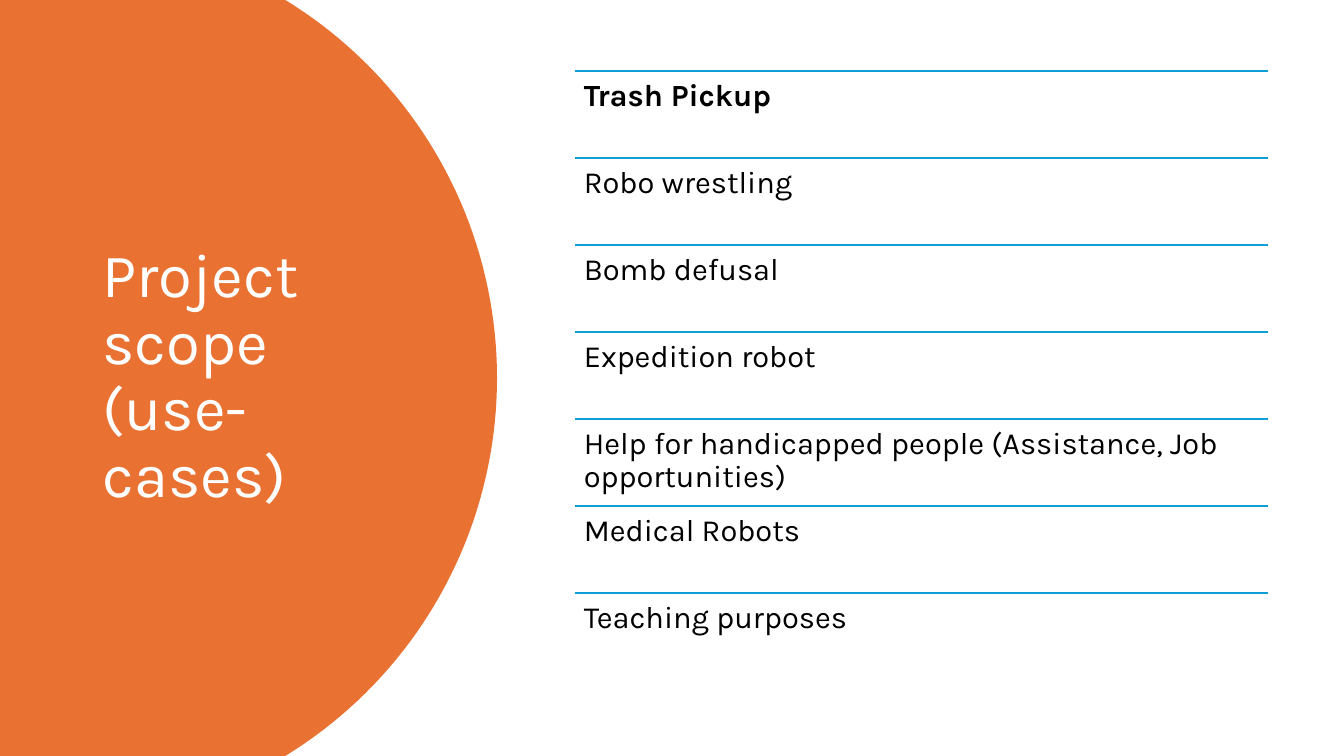
from dataclasses import dataclass
from math import asin, cos, sin

from lxml import etree
from pptx import Presentation
from pptx.dml.color import RGBColor
from pptx.enum.shapes import MSO_CONNECTOR
from pptx.enum.text import MSO_ANCHOR
from pptx.oxml.ns import qn
from pptx.util import Inches, Pt

LINE = MSO_CONNECTOR.STRAIGHT
TOP = MSO_ANCHOR.TOP
MIDDLE = MSO_ANCHOR.MIDDLE


@dataclass(frozen=True)
class Theme:
    font: str = "Karla"
    panel: RGBColor = RGBColor(0xE9, 0x71, 0x32)
    rule: RGBColor = RGBColor(0x0F, 0x9E, 0xD5)
    light: RGBColor = RGBColor(0xFF, 0xFF, 0xFF)
    dark: RGBColor = RGBColor(0, 0, 0)
    title: int = 44
    body: int = 22
    weight: float = 1.5


THEME = Theme()
TITLE = "Project scope (use-cases)"
CASES = [
    "Trash Pickup",
    "Robo wrestling",
    "Bomb defusal",
    "Expedition robot",
    "Help for handicapped people (Assistance, Job opportunities)",
    "Medical Robots",
    "Teaching purposes",
]


def add_text(slide, box, text, size, color, anchor, pad, bold=False):
    shape = slide.shapes.add_textbox(*map(Inches, box))
    frame = shape.text_frame
    frame.word_wrap = True
    frame.vertical_anchor = anchor
    frame.margin_left = frame.margin_right = Inches(pad[0])
    frame.margin_top = frame.margin_bottom = Inches(pad[1])
    para = frame.paragraphs[0]
    para.text = text
    para.line_spacing = 0.9
    font = para.font
    font.name = THEME.font
    font.size = Pt(size)
    font.bold = bold
    font.color.rgb = color


def add_panel(slide, box, flat, steps=80):
    left, top, width, height = box
    half = height / 2
    depth = width - flat
    radius = (depth ** 2 + half ** 2) / (2 * depth)
    hub = left + width - radius
    sweep = asin(half / radius)
    angles = [sweep * (2 * i / steps - 1) for i in range(steps + 1)]
    arc = [(Inches(hub + radius * cos(a)), Inches(top + half + radius * sin(a)))
           for a in angles]
    pen = slide.shapes.build_freeform(Inches(left), Inches(top))
    pen.add_line_segments(arc + [(Inches(left), Inches(top + height))], close=True)
    shape = pen.convert_to_shape()
    shape.shadow.inherit = False
    shape.fill.solid()
    shape.fill.fore_color.rgb = THEME.panel
    shape.line.fill.background()


def add_rule(slide, left, top, width):
    rule = slide.shapes.add_connector(
        LINE, Inches(left), Inches(top), Inches(left + width), Inches(top))
    rule.line.color.rgb = THEME.rule
    rule.line.width = Pt(THEME.weight)
    etree.SubElement(rule._element.spPr, qn("a:effectLst"))


def add_cases(slide, box, cases):
    left, top, width, height = box
    step = height / len(cases)
    for i, case in enumerate(cases):
        y = top + i * step
        add_rule(slide, left, y, width)
        add_text(slide, (left, y, width, step), case, THEME.body, THEME.dark,
                 TOP, (0.09, 0.09), bold=i == 0)


def main():
    deck = Presentation()
    deck.slide_width = Inches(13.33)
    deck.slide_height = Inches(7.5)
    slide = deck.slides.add_slide(deck.slide_layouts[6])
    add_panel(slide, (0, 0, 4.93, 7.5), 2.83)
    add_text(slide, (0.92, 0.7, 3.23, 6.09), TITLE, THEME.title, THEME.light,
             MIDDLE, (0.1, 0.05))
    add_cases(slide, (5.7, 0.7, 6.88, 6.05), CASES)
    deck.save("out.pptx")


if __name__ == "__main__":
    main()
